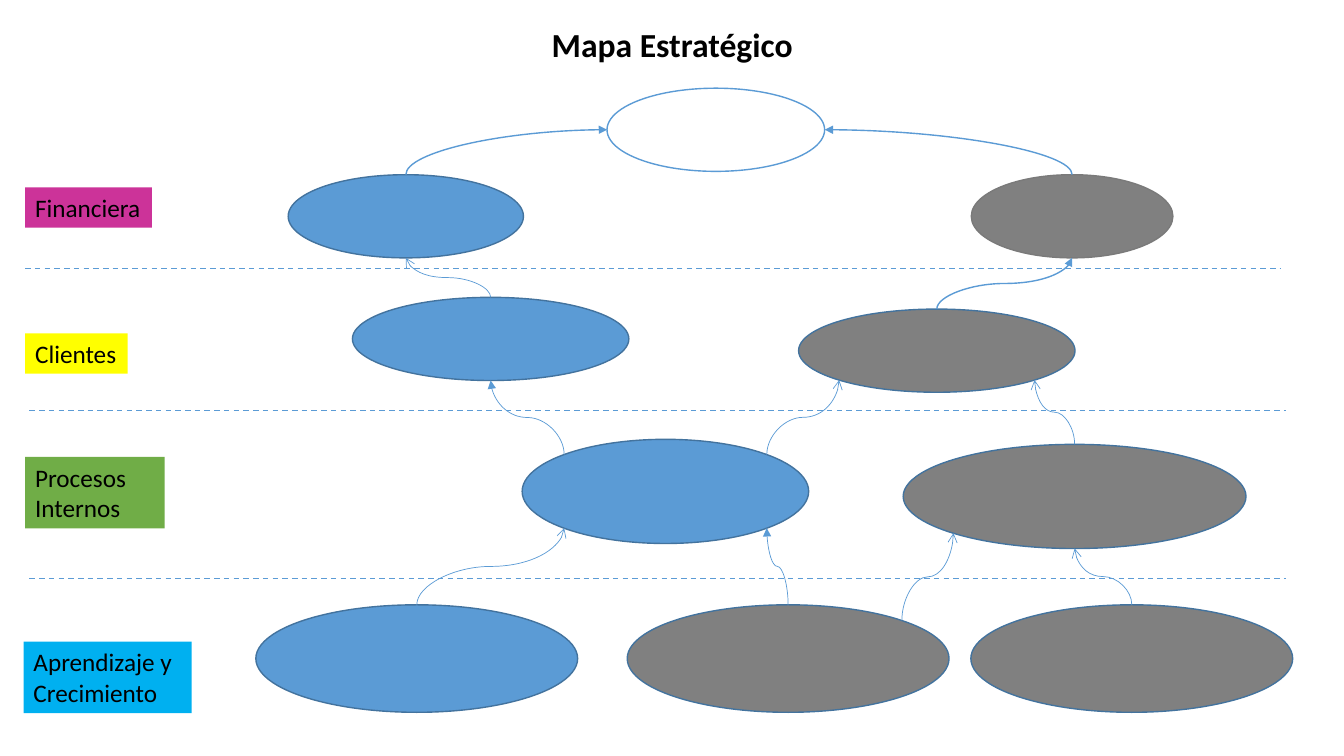
from math import cos, radians, sin

from lxml.etree import SubElement
from pptx import Presentation
from pptx.dml.color import RGBColor
from pptx.enum.dml import MSO_LINE
from pptx.enum.shapes import MSO_CONNECTOR, MSO_SHAPE
from pptx.enum.text import MSO_ANCHOR, MSO_AUTO_SIZE, PP_ALIGN
from pptx.oxml.ns import qn
from pptx.util import Inches, Pt

# The slide is a grid of 160 columns by 90 rows of square cells.
WIDTH, HEIGHT = Inches(13.33), Inches(7.5)
CELL = HEIGHT / 90
FONT = "Calibri"

BLACK = RGBColor(0x00, 0x00, 0x00)
WHITE = RGBColor(0xFF, 0xFF, 0xFF)
BLUE = RGBColor(0x5B, 0x9B, 0xD5)
DARK_BLUE = RGBColor(0x43, 0x73, 0x9E)
GRAY = RGBColor(0x80, 0x80, 0x80)
DARK_GRAY = RGBColor(0x7A, 0x7A, 0x7A)
MAGENTA = RGBColor(0xCC, 0x33, 0x99)
YELLOW = RGBColor(0xFF, 0xFF, 0x00)
GREEN = RGBColor(0x70, 0xAD, 0x47)
CYAN = RGBColor(0x00, 0xB0, 0xF0)

# Connection sites of an ellipse: index and angle, clockwise from the right.
SITES = {"top": (0, 270), "top left": (1, 225), "left": (2, 180),
         "bottom left": (3, 135), "bottom": (4, 90),
         "bottom right": (5, 45), "right": (6, 0), "top right": (7, 315)}

# Objective: centre column, top row, columns, rows, fill, outline
OBJECTIVES = {
    "vision": (85.2, 10.5, 25.9, 9.9, WHITE, BLUE),
    "finance 1": (48.3, 20.8, 28, 9.9, BLUE, DARK_BLUE),
    "finance 2": (127.6, 20.8, 24, 9.9, GRAY, DARK_GRAY),
    "clients 1": (58.4, 35.4, 32.9, 9.9, BLUE, DARK_BLUE),
    "clients 2": (111.5, 36.8, 32.9, 9.9, GRAY, DARK_BLUE),
    "processes 1": (79.2, 52.3, 34.1, 12.4, BLUE, DARK_BLUE),
    "processes 2": (127.9, 52.9, 40.8, 12.4, GRAY, DARK_BLUE),
    "learning 1": (49.6, 72, 38.3, 12.8, BLUE, DARK_BLUE),
    "learning 2": (93.8, 72, 38.3, 12.8, GRAY, DARK_BLUE),
    "learning 3": (134.7, 72, 38.3, 12.8, GRAY, DARK_BLUE),
}

# Cause, its site, effect, its site, arrowhead, line width
LINKS = [
    ("finance 1", "top", "vision", "left", "triangle", 1),
    ("finance 2", "top", "vision", "right", "triangle", 1),
    ("clients 1", "top", "finance 1", "bottom", "arrow", 0.5),
    ("clients 2", "top", "finance 2", "bottom", "triangle", 1),
    ("processes 1", "top left", "clients 1", "bottom", "triangle", 0.5),
    ("processes 1", "top right", "clients 2", "bottom left", "arrow", 0.5),
    ("processes 2", "top", "clients 2", "bottom right", "arrow", 0.5),
    ("learning 1", "top", "processes 1", "bottom left", "arrow", 0.5),
    ("learning 2", "top", "processes 1", "bottom right", "triangle", 0.5),
    ("learning 2", "top right", "processes 2", "bottom left", "arrow", 0.5),
    ("learning 3", "top", "processes 2", "bottom", "arrow", 0.5),
]

# Perspective: text, left column, top row, columns, rows, fill, wrap
PERSPECTIVES = [
    ("Financiera", 3, 22.3, 15.1, 4.8, MAGENTA, False),
    ("Clientes", 3, 39.7, 12.2, 4.8, YELLOW, False),
    ("Procesos Internos", 3, 54.4, 16.6, 8.5, GREEN, True),
    ("Aprendizaje y Crecimiento", 2.8, 76.4, 20, 8.5, CYAN, True),
]

# Left column and row of each line between perspectives
SEPARATORS = [(3, 32), (3.5, 48.9), (3.5, 68.9)]
SEPARATOR_COLS = 149.5


def cells(*counts):
    """Turn counts of grid cells into lengths."""
    return [round(n * CELL) for n in counts]


def add_run(p, text, size, bold=False):
    """Add a black run to a paragraph."""
    r = p.add_run()
    r.text = text
    r.font.name, r.font.size, r.font.bold = FONT, Pt(size), bold
    r.font.color.rgb = BLACK


def set_title(slide, text):
    """Place the title placeholder and fill it."""
    sp = slide.shapes.title
    sp.left, sp.top, sp.width, sp.height = cells(1.7, 0.8, 156.6, 9.5)
    tf = sp.text_frame
    tf.vertical_anchor = MSO_ANCHOR.MIDDLE
    p = tf.paragraphs[0]
    p.alignment, p.line_spacing = PP_ALIGN.CENTER, 0.9
    add_run(p, text, 24, bold=True)


def add_objective(slide, center, top, cols, rows, fill, outline):
    """Add the ellipse of one objective."""
    sp = slide.shapes.add_shape(
        MSO_SHAPE.OVAL, *cells(center - cols / 2, top, cols, rows))
    sp.shadow.inherit = False
    sp.fill.solid()
    sp.fill.fore_color.rgb = fill
    sp.line.color.rgb, sp.line.width = outline, Pt(1)
    return sp


def add_perspective(slide, text, left, top, cols, rows, fill, wrap):
    """Add the coloured label of one perspective."""
    sp = slide.shapes.add_textbox(*cells(left, top, cols, rows))
    sp.fill.solid()
    sp.fill.fore_color.rgb = fill
    tf = sp.text_frame
    tf.word_wrap, tf.auto_size = wrap, MSO_AUTO_SIZE.SHAPE_TO_FIT_TEXT
    add_run(tf.paragraphs[0], text, 18)


def add_line(slide, kind, ends, width):
    """Add a blue connector without shadow."""
    line = slide.shapes.add_connector(kind, *[round(n) for n in ends])
    line.line.color.rgb, line.line.width = BLUE, Pt(width)
    SubElement(line._element.spPr, qn("a:effectLst"))
    return line


def add_separator(slide, left, row):
    """Add a dashed line between two perspectives."""
    ends = cells(left, row, left + SEPARATOR_COLS, row)
    line = add_line(slide, MSO_CONNECTOR.STRAIGHT, ends, 1)
    line.line.dash_style = MSO_LINE.DASH


def site_point(sp, site):
    """Return the place of a connection site on an ellipse."""
    angle = radians(SITES[site][1])
    return (sp.left + sp.width / 2 * (1 + cos(angle)),
            sp.top + sp.height / 2 * (1 + sin(angle)))


def add_link(slide, cause, start, effect, end, head, width):
    """Add a curved arrow that leaves the cause upwards, glued at both ends."""
    (x1, y1), (x2, y2) = site_point(cause, start), site_point(effect, end)
    mid_x, mid_y = (x1 + x2) / 2, (y1 + y2) / 2
    # The curve is laid out on its side, then turned upright.
    side = 1 if x2 > x1 else -1
    half_w, half_h = abs(x2 - x1) / 2, side * (y1 - y2) / 2
    line = add_line(slide, MSO_CONNECTOR.CURVE,
                    (mid_x + half_h, mid_y + half_w,
                     mid_x - half_h, mid_y - half_w), width)
    props = line._element.spPr
    turn = 90 if side > 0 else 270
    props.find(qn("a:xfrm")).set("rot", str(turn * 60000))
    if end in ("left", "right"):
        props.find(qn("a:prstGeom")).set("prst", "curvedConnector2")
    SubElement(props.find(qn("a:ln")), qn("a:tailEnd"), type=head)
    glue = line._element.nvCxnSpPr.cNvCxnSpPr
    for tag, sp, site in (("a:stCxn", cause, start), ("a:endCxn", effect, end)):
        SubElement(glue, qn(tag), id=str(sp.shape_id), idx=str(SITES[site][0]))


def main():
    """Build the strategy map."""
    prs = Presentation()
    prs.slide_width, prs.slide_height = WIDTH, HEIGHT
    slide = prs.slides.add_slide(prs.slide_layouts[5])
    set_title(slide, "Mapa Estratégico")
    for separator in SEPARATORS:
        add_separator(slide, *separator)
    objectives = {name: add_objective(slide, *place)
                  for name, place in OBJECTIVES.items()}
    for cause, start, effect, end, head, width in LINKS:
        add_link(slide, objectives[cause], start,
                 objectives[effect], end, head, width)
    for perspective in PERSPECTIVES:
        add_perspective(slide, *perspective)
    prs.save("out.pptx")


main()
